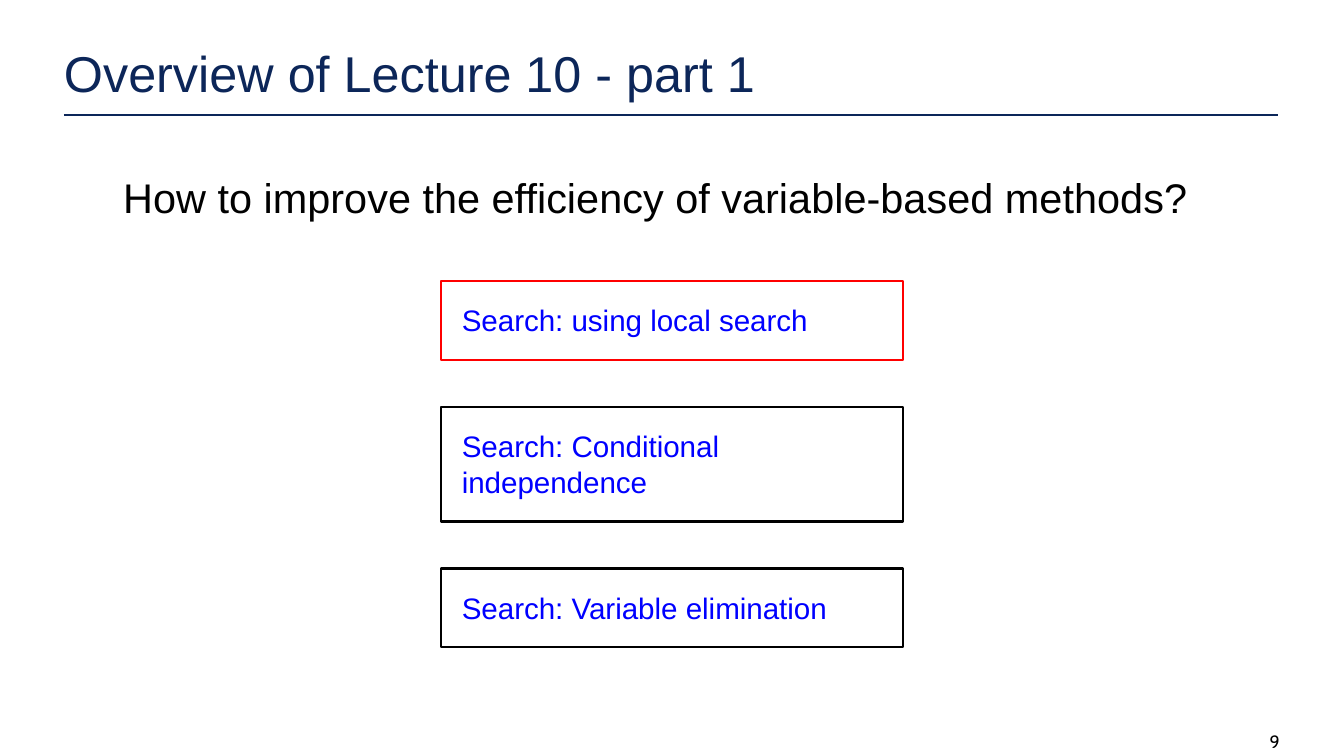
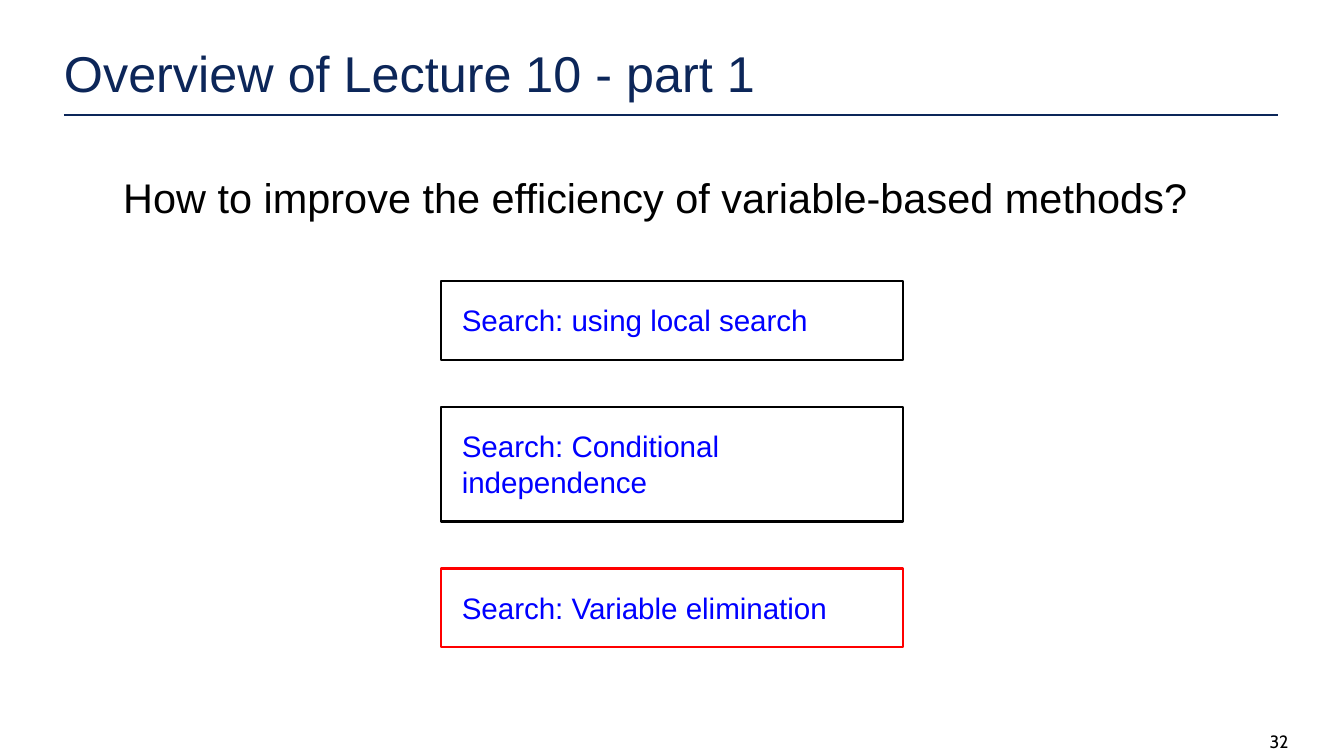
"""Build the two overview slides of Lecture 10, each highlighting one search topic."""
from dataclasses import dataclass

from lxml import etree
from pptx import Presentation
from pptx.dml.color import RGBColor
from pptx.enum.shapes import MSO_CONNECTOR, MSO_SHAPE
from pptx.enum.text import MSO_ANCHOR, MSO_AUTO_SIZE, PP_ALIGN
from pptx.oxml.ns import qn
from pptx.util import Inches, Pt

STRAIGHT = MSO_CONNECTOR.STRAIGHT
RECTANGLE = MSO_SHAPE.RECTANGLE
TOP = MSO_ANCHOR.TOP
NO_AUTOFIT = MSO_AUTO_SIZE.NONE
LEFT = PP_ALIGN.LEFT
TITLE_ONLY = 5


@dataclass(frozen=True)
class Theme:
    navy: RGBColor = RGBColor.from_string("0C2659")
    black: RGBColor = RGBColor.from_string("000000")
    blue: RGBColor = RGBColor.from_string("0000FF")
    red: RGBColor = RGBColor.from_string("FF0000")
    body_font: str = "Arial"
    number_font: str = "Cabin"
    title_size: float = 17
    question_size: float = 14
    topic_size: float = 10
    number_size: float = 6
    line_width: float = 0.75


THEME = Theme()
PADDING = (0.1, 0.1, 0.1, 0.1)
TITLE = "Overview of Lecture 10 - part 1"
QUESTION = "How to improve the efficiency of variable-based methods?"
TOPICS = [
    ("Search: using local search", 0.37),
    ("Search: Conditional independence", 0.54),
    ("Search: Variable elimination", 0.37),
]
TOPIC_LEFT, TOPIC_TOP, TOPIC_WIDTH, TOPIC_GAP = 2.07, 1.32, 2.17, 0.22
PAGES = [("9", 0), ("32", 2)]


def write(box, text, size, color, font=THEME.body_font, margins=PADDING, indent=0, spacing=1):
    frame = box.text_frame
    frame.text = text
    frame_format = {"word_wrap": True, "auto_size": NO_AUTOFIT, "vertical_anchor": TOP}
    sides = ("margin_left", "margin_top", "margin_right", "margin_bottom")
    frame_format.update(zip(sides, map(Inches, margins)))
    for name, value in frame_format.items():
        setattr(frame, name, value)
    para = frame.paragraphs[0]
    para.alignment = LEFT
    para.line_spacing = spacing
    para._p.get_or_add_pPr().set("marL", str(Inches(indent)))
    span = para.runs[0]
    for name, value in {"name": font, "size": Pt(size)}.items():
        setattr(span.font, name, value)
    span.font.color.rgb = color


def place(left, top, width, height):
    return [Inches(value) for value in (left, top, width, height)]


deck = Presentation()
deck.slide_width, deck.slide_height = Inches(6.31), Inches(3.55)

for number, highlighted in PAGES:
    page = deck.slides.add_slide(deck.slide_layouts[TITLE_ONLY])
    title = page.shapes.title
    title.left, title.top, title.width, title.height = place(0.29, 0.18, 4.21, 0.3)
    write(title, TITLE, THEME.title_size, THEME.navy, margins=(0, 0.02, 0, 0), indent=0.01)

    rule = page.shapes.add_connector(STRAIGHT, *place(0.3, 0.54, 6, 0.54))
    rule.line.color.rgb = THEME.navy
    rule.line.width = Pt(THEME.line_width)
    etree.SubElement(rule._element.spPr, qn("a:effectLst"))

    number_box = page.shapes.add_textbox(*place(5.92, 3.42, 0.31, 0.1))
    write(number_box, number, THEME.number_size, THEME.black, font=THEME.number_font,
          margins=(0, 0, 0, 0), indent=0.04, spacing=1.12)

    question_box = page.shapes.add_textbox(*place(0.48, 0.71, 5.34, 0.44))
    write(question_box, QUESTION, THEME.question_size, THEME.black)

    top = TOPIC_TOP
    for index, (topic, height) in enumerate(TOPICS):
        topic_box = page.shapes.add_shape(RECTANGLE, *place(TOPIC_LEFT, top, TOPIC_WIDTH, height))
        topic_box.shadow.inherit = False
        topic_box.fill.background()
        topic_box.line.color.rgb = THEME.red if index == highlighted else THEME.black
        topic_box.line.width = Pt(THEME.line_width)
        write(topic_box, topic, THEME.topic_size, THEME.blue)
        top += height + TOPIC_GAP

deck.save("out.pptx")
